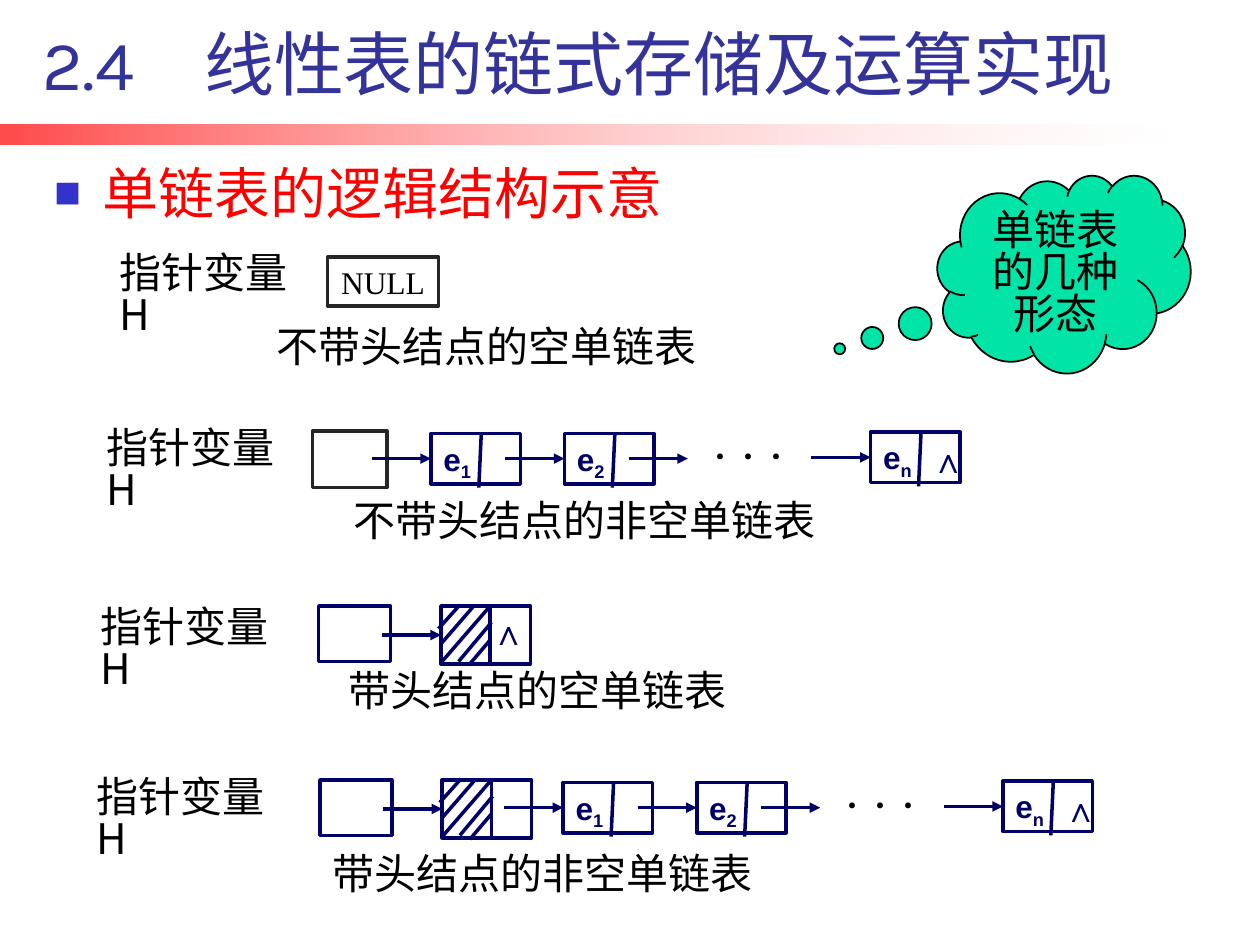
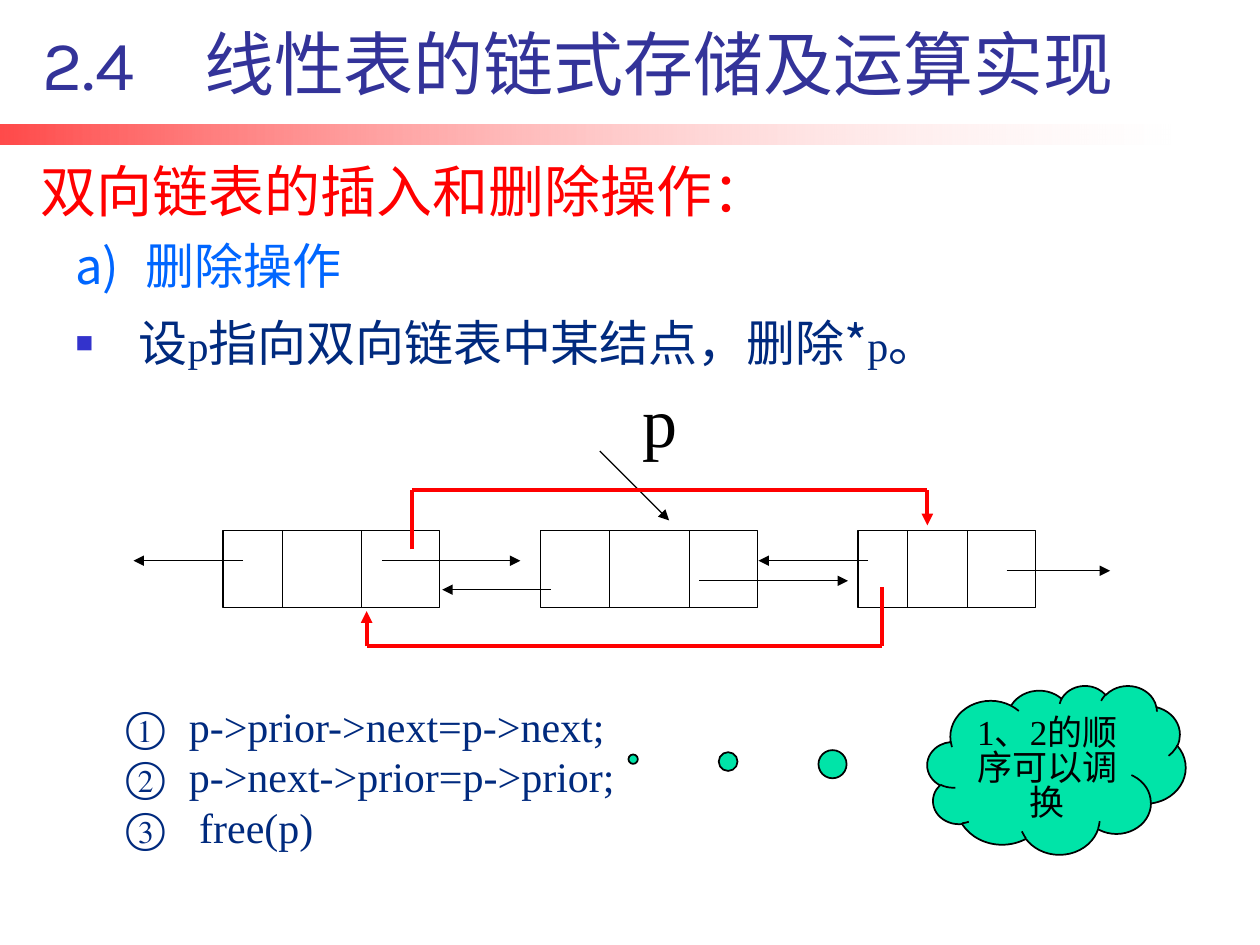
from lxml import etree
from pptx import Presentation, util as u
from pptx.dml.color import RGBColor
from pptx.enum import shapes, text
from pptx.oxml.ns import qn

# Every length below is counted in grid cells: 100 columns by 75 rows
COLUMNS, ROWS = 100, 75
CELL = u.Inches(10) / COLUMNS

COLORS = {
    "title": "333399", "bullet": "3333CC", "heading": "FF0000",
    "step": "0066FF", "body": "002A7E", "ink": "000000", "paper": "FFFFFF",
    "navy": "000066", "frame": "262626", "cloud": "00E4A8",
}
CJK, SERIF, SANS, TITLE = "Noto Sans CJK SC", "Times New Roman", "Arial", "Karla"
HEADER = "2.4　线性表的链式存储及运算实现"
HATCHES = [(1.5, -0.1, -0.2, 1.8), (2.6, 0, 0, 3), (3.9, 0, 0, 4.5),
           (4, 1.3, 1.4, 4.4), (3.9, 2.7, 2.2, 4.7)]


def grid(*counts):
    return [u.Emu(round(count * CELL)) for count in counts]


def rgb(name):
    return RGBColor.from_string(COLORS[name])


# ---- Text ----
def style(font, size, color, face=CJK, bold=False):
    font.size, font.name, font.bold = u.Pt(size), face, bold
    font.color.rgb = rgb(color)
    etree.SubElement(font._element, qn("a:ea")).set("typeface", CJK)


def write(para, words, size, color, face=CJK, bold=False, spacing=0.9,
          align=text.PP_ALIGN.LEFT):
    para.text = words
    para.alignment, para.line_spacing, para.space_before = align, spacing, u.Pt(0)
    style(para.font, size, color, face, bold)
    return para


def hang(para, indent, kind, value, color=None, percent=None):
    """Give a paragraph a hanging bullet or number."""
    props = para._p.get_or_add_pPr()
    width = grid(indent)[0]
    props.set("marL", str(width))
    props.set("indent", str(-width))
    defaults = props.find(qn("a:defRPr"))

    def add(tag, **attributes):
        item = etree.Element(qn(tag), attributes)
        defaults.addprevious(item)
        return item

    if color:
        fill = add("a:buClr")
        etree.SubElement(fill, qn("a:srgbClr")).set("val", COLORS[color])
    if percent:
        add("a:buSzPct", val=str(percent * 1000))
    add("a:" + kind, **{"char" if kind == "buChar" else "type": value})


def label(page, words, left, top, width, height, size=24, color="ink",
          wrap=False, **look):
    box = page.shapes.add_textbox(*grid(left, top, width, height))
    box.text_frame.word_wrap = wrap
    return write(box.text_frame.paragraphs[0], words, size, color, **look)


def place(holder, left, top, width, height, anchor):
    holder.left, holder.top, holder.width, holder.height = grid(left, top, width, height)
    frame = holder.text_frame
    frame.auto_size, frame.vertical_anchor = text.MSO_AUTO_SIZE.NONE, anchor
    return frame


# ---- Shapes and lines ----
def shape(page, kind, left, top, width, height, line, weight, fill=None):
    item = page.shapes.add_shape(kind, *grid(left, top, width, height))
    item.shadow.inherit = False
    item.line.color.rgb, item.line.width = rgb(line), u.Pt(weight)
    if fill:
        item.fill.solid()
        item.fill.fore_color.rgb = rgb(fill)
    else:
        item.fill.background()
    item.text_frame.vertical_anchor = text.MSO_ANCHOR.TOP
    return item


def rectangle(page, left, top, width, height, line="navy", weight=2, fill=None):
    return shape(page, shapes.MSO_SHAPE.RECTANGLE, left, top, width, height,
                 line, weight, fill)


def line(page, x1, y1, x2, y2, color="navy", weight=2, arrow=False):
    item = page.shapes.add_connector(shapes.MSO_CONNECTOR.STRAIGHT,
                                     *grid(x1, y1, x2, y2))
    item.line.color.rgb, item.line.width = rgb(color), u.Pt(weight)
    etree.SubElement(item._element.spPr, qn("a:effectLst"))
    if arrow:
        tail = etree.SubElement(item.line._get_or_add_ln(), qn("a:tailEnd"))
        tail.set("type", "triangle")
    return item


def arrow_into(page, target, length=4.7):
    """Draw a level arrow that ends at the middle of the target's left side."""
    x, y = target.left / CELL, (target.top + target.height / 2) / CELL
    line(page, x - length, y, x, y, arrow=True).end_connect(target, 1)


def cloud(page, words, left, top, width, height, tip, size):
    item = shape(page, shapes.MSO_SHAPE.CLOUD_CALLOUT, left, top, width, height,
                 "ink", 1, "cloud")
    item.adjustments[0], item.adjustments[1] = tip
    item.text_frame.word_wrap = True
    write(item.text_frame.paragraphs[0], words, size, "ink", SERIF,
          spacing=0.84, align=text.PP_ALIGN.CENTER)


# ---- Shared page frame ----
def start_page(deck):
    page = deck.slides.add_slide(deck.slide_layouts[1])
    band = rectangle(page, 0, 9.9, 92.9, 1.6)
    band.line.fill.background()
    band.fill.gradient()
    band.fill.gradient_angle = 0
    for stop, color, alpha in zip(band.fill.gradient_stops,
                                  ("heading", "paper"), (71, 18)):
        stop.color.rgb = rgb(color)
        tint = stop._gs.find(qn("a:srgbClr"))
        etree.SubElement(tint, qn("a:alpha")).set("val", str(alpha * 1000))
    frame = place(page.shapes.title, 0.1, 3, 91.5, 5.3, text.MSO_ANCHOR.BOTTOM)
    frame.margin_bottom = 0
    write(frame.paragraphs[0], HEADER, 40, "title", TITLE, spacing=1,
          align=text.PP_ALIGN.CENTER)
    return page


# ---- Singly linked lists ----
def pointer_label(page, left, top):
    label(page, "指针变量H", left, top, 17.2, 5, wrap=True, spacing=0.84)


def end_mark(page, left, top):
    label(page, "∧", left, top, 4.8, 4.3, 20, "navy", face=SANS, bold=True, spacing=1)


def element_node(page, index, left, top):
    node = rectangle(page, left, top, 7.1, 4)
    para = write(node.text_frame.paragraphs[0], "e", 18, "navy", SANS, True, 1)
    span = para.add_run()
    span.text = index
    span.font._element.set("baseline", "-25000")
    line(page, left + 4, top, left + 3.8, top + 4.3)
    return node


def element_chain(page, left, top):
    """e1, e2, dots and en, each with its incoming arrow."""
    for index, x, y in (("1", 0, 0), ("2", 10.6, 0), ("n", 34.9, -0.1)):
        arrow_into(page, element_node(page, index, left + x, top + y))
    line(page, left + 15.7, top + 2, left + 20.4, top + 2, arrow=True)
    label(page, "···", left + 20.9, top + 0.3, 8.8, 3.7, 16)
    end_mark(page, left + 38.7, top - 0.1)


def head_node(page, left, top):
    """Pointer cell and the hatched head node it points to."""
    rectangle(page, left, top, 5.7, 4.4)
    head_left = left + 9.7
    head = rectangle(page, head_left, top, 7.1, 4.6)
    line(page, head_left + 3.9, top, head_left + 3.9, top + 4.7)
    for x1, y1, x2, y2 in HATCHES:
        line(page, head_left + x1, top + y1, head_left + x2, top + y2)
    arrow_into(page, head)


def build_singly_linked(deck):
    page = start_page(deck)
    frame = place(page.placeholders[1], 3.3, 12.1, 50.7, 7.2, text.MSO_ANCHOR.TOP)
    heading = write(frame.paragraphs[0], "单链表的逻辑结构示意", 32, "heading", spacing=1)
    hang(heading, 3.8, "buChar", "■", "bullet", 80)

    # Empty list without a head node
    null = rectangle(page, 26, 20.4, 8.8, 3.9, "frame", 2, "paper")
    null.text_frame.vertical_anchor = text.MSO_ANCHOR.MIDDLE
    write(null.text_frame.paragraphs[0], "NULL", 18, "ink", SERIF, spacing=1,
          align=text.PP_ALIGN.CENTER)
    # Filled list without a head node
    rectangle(page, 24.8, 34.2, 5.9, 4.5, "frame", 2, "paper")
    element_chain(page, 34.2, 34.4)
    # Empty list with a head node
    head_node(page, 25.3, 48.1)
    end_mark(page, 38, 48)
    # Filled list with a head node
    head_node(page, 25.4, 61.9)
    element_chain(page, 44.7, 62.1)

    for left, top in ((8.5, 19.7), (7.5, 33.6), (7, 47.8), (6.7, 61.3)):
        pointer_label(page, left, top)
    for words, left, top, width in (
            ("不带头结点的空单链表", 21, 25.4, 35.7),
            ("不带头结点的非空单链表", 27.1, 39.2, 39),
            ("带头结点的空单链表", 26.7, 52.7, 32.3),
            ("带头结点的非空单链表", 25.4, 67.2, 35.7)):
        label(page, words, left, top, width, 5)
    cloud(page, "单链表的几种形态", 74.4, 13.9, 20.1, 15.7, (-0.886, 0.378), 24)


# ---- Deletion from a doubly linked list ----
def operation_text(page):
    label(page, "双向链表的插入和删除操作：", 2.2, 12.5, 60.4, 6.4, 32, "heading")
    step = label(page, "删除操作", 5, 18.7, 23.4, 5.7, 28, "step")
    hang(step, 5.6, "buAutoNum", "alphaLcParenR", "step")

    frame = place(page.placeholders[1], 5, 24.8, 86.6, 11.4, text.MSO_ANCHOR.TOP)
    task = write(frame.paragraphs[0], "", 28, "body")
    hang(task, 5, "buChar", "■", "bullet", 60)
    for words in ("设", "p", "指向双向链表中某结点，删除*", "p", "。"):
        span = task.add_run()
        span.text = words
        if words == "p":
            style(span.font, 24, "body", SERIF)


def double_node(page, left, width, dividers):
    top, height = 42.1, 6.1
    rectangle(page, left, top, width, height, "ink", 0.75)
    for x in dividers:
        line(page, left + x, top, left + x, top + height, "ink", 0.75)


def bypass(page, points):
    """Red bent link whose last leg carries the arrowhead."""
    legs = list(zip(points, points[1:]))
    for start, end in legs:
        line(page, *start, *end, "heading", 2.25, arrow=(start, end) == legs[-1])


def deletion_diagram(page):
    label(page, "p", 50, 29.5, 5.9, 9.1, 40, face=SERIF, spacing=1)
    for left, width, dividers in ((17.7, 17.2, (4.7, 11)), (42.9, 17.2, (5.5, 11.8)),
                                  (68.1, 14.1, (3.9, 8.7))):
        double_node(page, left, width, dividers)
    for ends in ((47.6, 35.8, 53.1, 41.3), (19.3, 44.5, 10.6, 44.5),
                 (79.9, 45.3, 88.1, 45.3), (68.9, 44.5, 60.2, 44.5),
                 (30.3, 44.5, 41.3, 44.5), (43.7, 46.8, 35.1, 46.8),
                 (55.5, 46.1, 67.3, 46.1)):
        line(page, *ends, "ink", 0.75, arrow=True)
    bypass(page, [(32.7, 43.6), (32.7, 38.9), (73.6, 38.9), (73.6, 41.7)])
    bypass(page, [(70, 46.6), (70, 51.3), (29.1, 51.3), (29.1, 48.5)])


def deletion_steps(page):
    box = page.shapes.add_textbox(*grid(9, 55.1, 42.6, 13.1))
    frame = box.text_frame
    frame.word_wrap = True
    for number, words in enumerate(("p->prior->next=p->next;",
                                    "p->next->prior=p->prior;", " free(p)")):
        para = frame.add_paragraph() if number else frame.paragraphs[0]
        write(para, words, 24, "body", SERIF, spacing=1)
        hang(para, 5, "buAutoNum", "circleNumDbPlain")


def build_deletion(deck):
    page = start_page(deck)
    operation_text(page)
    deletion_diagram(page)
    deletion_steps(page)
    cloud(page, "1、2的顺序可以调换", 73.6, 54.4, 20.5, 13.4, (-1.639, -0.063), 20)


def main():
    deck = Presentation()
    deck.slide_width, deck.slide_height = grid(COLUMNS, ROWS)
    build_singly_linked(deck)
    build_deletion(deck)
    deck.save("out.pptx")


if __name__ == "__main__":
    main()
